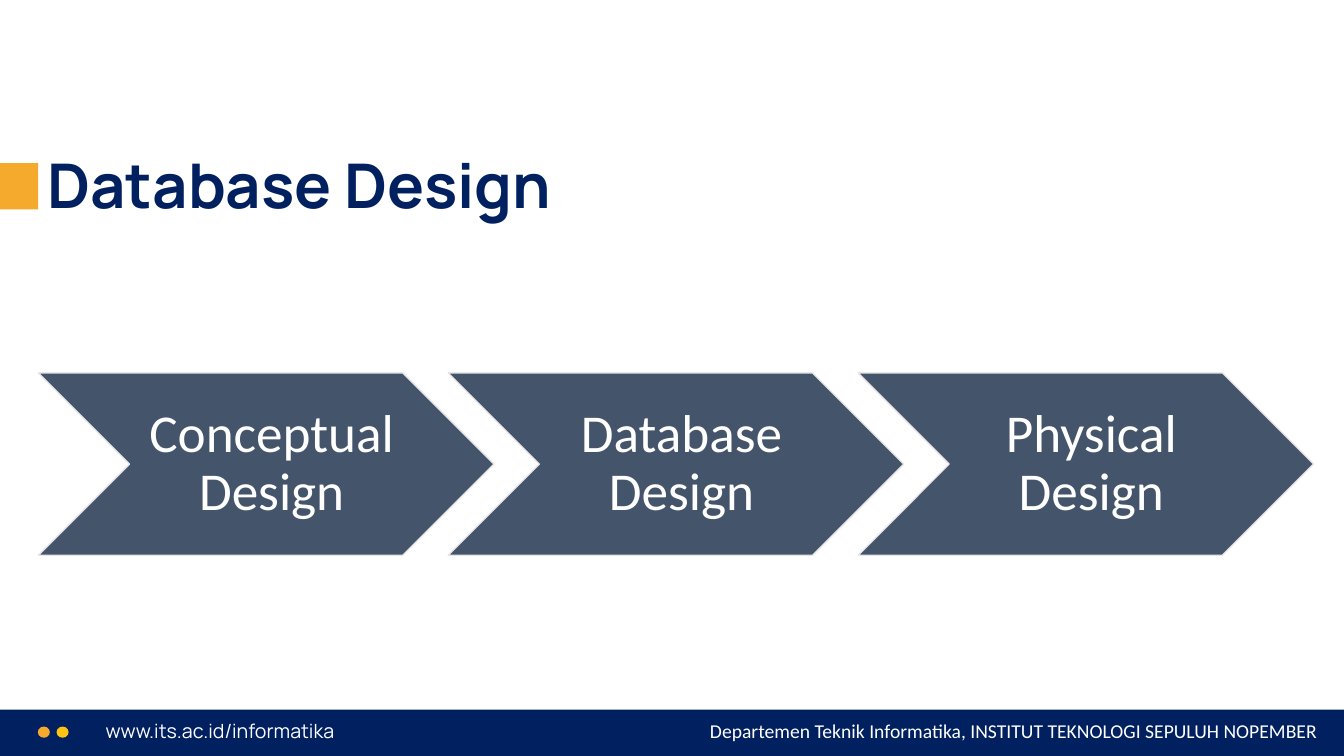
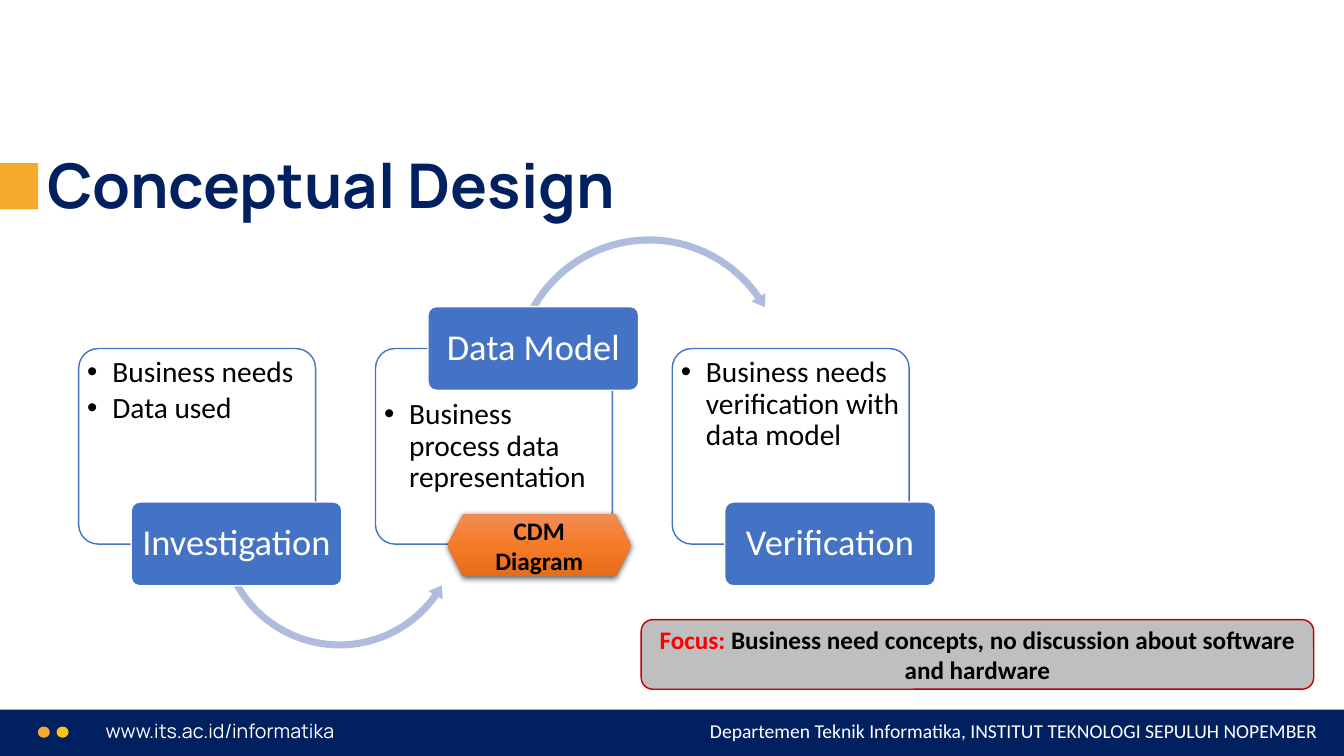
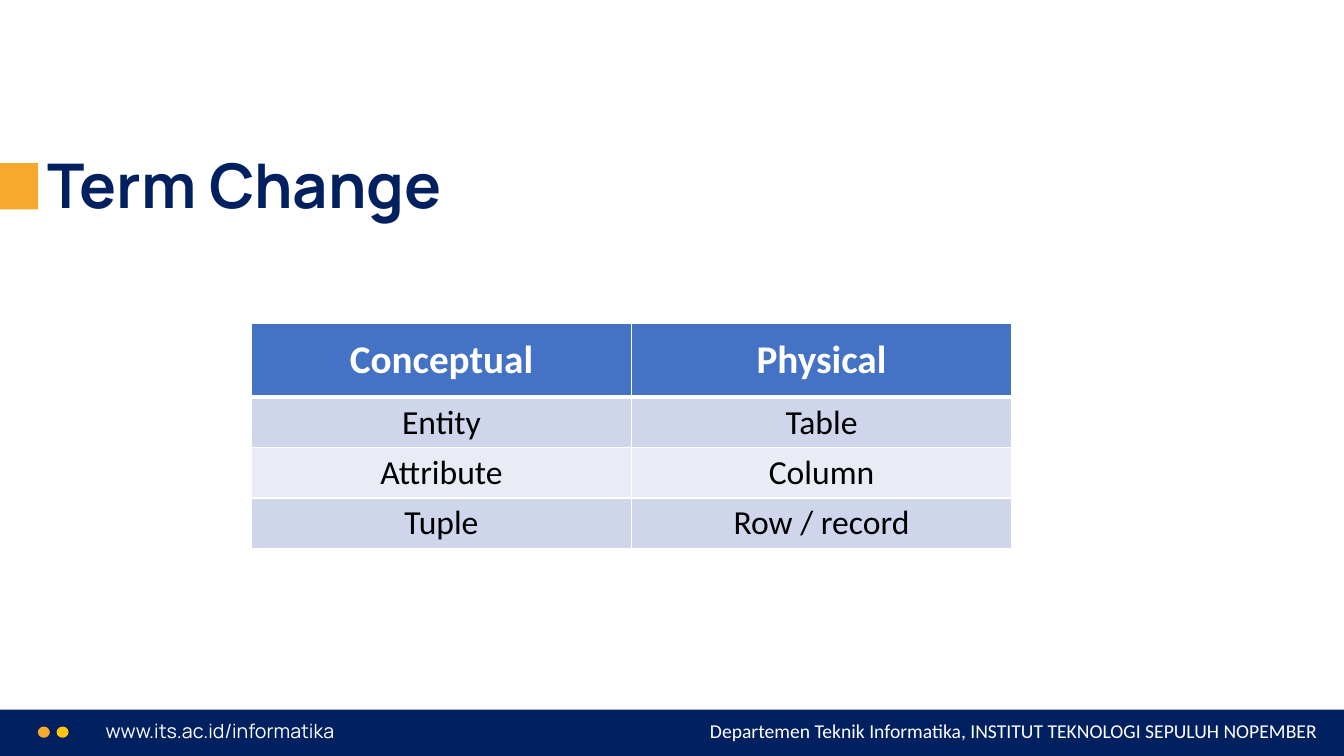
from pptx import Presentation
from pptx.dml.color import RGBColor
from pptx.enum.shapes import MSO_SHAPE as Preset
from pptx.enum.text import MSO_ANCHOR as Anchor, MSO_AUTO_SIZE as AutoSize, PP_ALIGN as Align
from pptx.oxml import parse_xml
from pptx.oxml.ns import nsdecls
from pptx.util import Pt

# Shared style
NAVY, AMBER, YELLOW, WHITE, BLACK = "002060", "F5AA2D", "FFC411", "FFFFFF", "000000"
BLUE, SLATE, PALE_BLUE = "4472C4", "44546A", "B0BCDE"
BODY_FONT, TITLE_FONT = "Calibri", "Manrope"

# Content
SITE = "www.its.ac.id/informatika"
DEPARTMENT = "Departemen Teknik Informatika, INSTITUT TEKNOLOGI SEPULUH NOPEMBER"
PHASES = ["Conceptual Design", "Database Design", "Physical Design"]
STEPS = [
    {"label": "Investigation", "points": ["Business needs", "Data used"], "label_on_top": False},
    {"label": "Data Model", "points": ["Business process data representation"], "label_on_top": True},
    {"label": "Verification", "points": ["Business needs verification with data model"],
     "label_on_top": False},
]
# Preset, left, top, size, adjustments
STEP_ARROWS = [
    (Preset.LEFT_CIRCULAR_ARROW, 152.6, 286.6, 180, (0.028, 3.439, 21.194, 90.245, 0.033)),
    (Preset.CIRCULAR_ARROW, 362.9, 165.6, 201.6, (0.025, 3.05, 195.195, 125.755, 0.029)),
]
DIAGRAM = "CDM Diagram"
DIAGRAM_STOPS = [(0, "F18C57"), (50, "F67B28"), (100, "E56C19")]
FOCUS = [("Focus: ", "FF0000"),
         ("Business need concepts, no discussion about software and hardware", BLACK)]
TERMS = [("Conceptual", "Physical"), ("Entity", "Table"), ("Attribute", "Column"),
         ("Tuple", "Row / record")]


def rgb(color):
    return RGBColor.from_string(color)


def add_span(para, text, size, color, font=BODY_FONT, bold=False):
    span = para.add_run()
    span.text = text
    span.font.size, span.font.name, span.font.bold = Pt(size), font, bold
    span.font.color.rgb = rgb(color)


def set_insets(frame, left, top, right, bottom):
    frame.margin_left, frame.margin_top = Pt(left), Pt(top)
    frame.margin_right, frame.margin_bottom = Pt(right), Pt(bottom)


def add_preset(page, preset, left, top, width, height, fill, line=None, adjust=()):
    shape = page.shapes.add_shape(preset, Pt(left), Pt(top), Pt(width), Pt(height))
    shape.shadow.inherit = False
    shape.fill.solid()
    shape.fill.fore_color.rgb = rgb(fill)
    if line:
        shape.line.color.rgb = rgb(line)
        shape.line.width = Pt(1)
    else:
        shape.line.fill.background()
    for index, value in enumerate(adjust):
        shape.adjustments[index] = value
    shape.text_frame.word_wrap = True
    return shape


def write_centred(shape, spans, size, bold=False, spacing=1):
    para = shape.text_frame.paragraphs[0]
    para.alignment, para.line_spacing = Align.CENTER, spacing
    for text, color in spans:
        add_span(para, text, size, color, bold=bold)


def add_footer_text(page, left, width, text, font, align):
    box = page.shapes.add_textbox(Pt(left), Pt(509.8), Pt(width), Pt(24.5))
    box.text_frame.word_wrap = True
    para = box.text_frame.paragraphs[0]
    para.alignment = align
    add_span(para, text, 14, WHITE, font)


def add_page(deck, title):
    page = deck.slides.add_slide(deck.slide_layouts[5])
    # Footer band
    add_preset(page, Preset.RECTANGLE, 0, 506.9, 960, 33.1, NAVY)
    add_footer_text(page, 68.4, 308, SITE, TITLE_FONT, Align.LEFT)
    add_footer_text(page, 425.5, 522.7, DEPARTMENT, BODY_FONT, Align.RIGHT)
    for left, color in ((27, AMBER), (40.4, YELLOW)):
        add_preset(page, Preset.OVAL, left, 519, 8.6, 8, color)
    # Title with its marker
    add_preset(page, Preset.RECTANGLE, 0, 116.6, 27.2, 33, AMBER)
    heading = page.shapes.title
    heading.left, heading.top, heading.width, heading.height = Pt(26.6), Pt(99.4), Pt(911.5), Pt(62.6)
    frame = heading.text_frame
    frame.auto_size, frame.word_wrap, frame.vertical_anchor = AutoSize.NONE, True, Anchor.BOTTOM
    para = frame.paragraphs[0]
    para.alignment, para.line_spacing = Align.LEFT, 0.9
    add_span(para, title, 44, NAVY, TITLE_FONT, True)
    return page


def build_phases(deck):
    page = add_page(deck, "Database Design")
    for index, phase in enumerate(PHASES):
        chevron = add_preset(page, Preset.CHEVRON, 27.4 + index * 292.75, 266.4, 325.4, 130.2,
                             SLATE, "E7E6E6")
        set_insets(chevron.text_frame, 12, 4, 4, 4)
        write_centred(chevron, [(phase, WHITE)], 38, spacing=0.9)


def add_bullets(frame, points):
    for index, point in enumerate(points):
        para = frame.paragraphs[0] if index == 0 else frame.add_paragraph()
        props = para._p.get_or_add_pPr()
        props.set("marL", str(Pt(18)))
        props.set("indent", str(-Pt(18)))
        props.append(parse_xml(f'<a:buFont {nsdecls("a")} typeface="Arial"/>'))
        props.append(parse_xml(f'<a:buChar {nsdecls("a")} char="•"/>'))
        para.alignment, para.line_spacing, para.space_after = Align.LEFT, 0.9, Pt(3)
        add_span(para, point, 21, BLACK)


def style_diagram(shape):
    """Three-stop vertical gradient and a soft drop shadow."""
    props = shape._element.spPr
    stops = "".join(f'<a:gs pos="{pos * 1000}"><a:srgbClr val="{color}"/></a:gs>'
                    for pos, color in DIAGRAM_STOPS)
    gradient = parse_xml(f'<a:gradFill {nsdecls("a")} rotWithShape="1"><a:gsLst>{stops}</a:gsLst>'
                         '<a:lin ang="5400000" scaled="0"/></a:gradFill>')
    solid = props.find("{*}solidFill")
    props.replace(solid, gradient)
    shadow = parse_xml(f'<a:outerShdw {nsdecls("a")} blurRad="{Pt(4.5)}" dist="{Pt(1.5)}" '
                       'dir="5400000" algn="ctr" rotWithShape="0"><a:srgbClr val="000000">'
                       '<a:alpha val="63000"/></a:srgbClr></a:outerShdw>')
    props.find("{*}effectLst").append(shadow)


def build_steps(deck):
    page = add_page(deck, "Conceptual Design")
    for index, step in enumerate(STEPS):
        left, on_top = 56.2 + index * 212, step["label_on_top"]
        # Card
        card = add_preset(page, Preset.ROUNDED_RECTANGLE, left, 249, 169.2, 139.7, WHITE, BLUE, (0.1,))
        color = card._element.spPr.find("{*}solidFill")[0]
        color.append(parse_xml(f'<a:alpha {nsdecls("a")} val="90000"/>'))
        card.text_frame.vertical_anchor = Anchor.TOP
        set_insets(card.text_frame, 2, 32 if on_top else 2, 2, 2)
        add_bullets(card.text_frame, step["points"])
        # Arrow to the next step
        if index < len(STEP_ARROWS):
            preset, x, y, size, adjust = STEP_ARROWS[index]
            add_preset(page, preset, x, y, size, size, PALE_BLUE, adjust=adjust)
        # Label
        label = add_preset(page, Preset.ROUNDED_RECTANGLE, left + 37.5, 219 if on_top else 358.6,
                           150.5, 59.8, BLUE, WHITE, (0.1,))
        set_insets(label.text_frame, 3.5, 2.5, 3.5, 2.5)
        write_centred(label, [(step["label"], WHITE)], 26, spacing=0.9)

    diagram = add_preset(page, Preset.HEXAGON, 319.7, 367.2, 131, 44.6, DIAGRAM_STOPS[0][1])
    style_diagram(diagram)
    write_centred(diagram, [(DIAGRAM, BLACK)], 18, bold=True)
    focus = add_preset(page, Preset.ROUNDED_RECTANGLE, 458, 442.6, 480.4, 49.7, "BFBFBF", "C00000")
    write_centred(focus, FOCUS, 18, bold=True)


def set_borders(cell, bottom):
    props = cell._tc.get_or_add_tcPr()
    for side, width in (("L", 1), ("R", 1), ("T", 1), ("B", bottom)):
        props.append(parse_xml(f'<a:ln{side} {nsdecls("a")} w="{Pt(width)}"><a:solidFill>'
                               f'<a:srgbClr val="{WHITE}"/></a:solidFill></a:ln{side}>'))


def build_terms(deck):
    page = add_page(deck, "Term Change")
    table = page.shapes.add_table(len(TERMS), 2, Pt(179.6), Pt(231.1), Pt(543), Pt(160.6)).table
    for row, terms in enumerate(TERMS):
        header = row == 0
        table.rows[row].height = Pt(52.6 if header else 36)
        fill = BLUE if header else ("CFD5EA" if row % 2 else "E9EBF5")
        for column, term in enumerate(terms):
            cell = table.cell(row, column)
            # The header's rule is shared with the row below it
            set_borders(cell, 3 if header else 1)
            if row == 1:
                cell._tc.tcPr.find("{*}lnT").set("w", str(Pt(3)))
            cell.fill.solid()
            cell.fill.fore_color.rgb = rgb(fill)
            cell.vertical_anchor = Anchor.MIDDLE if header else Anchor.TOP
            para = cell.text_frame.paragraphs[0]
            para.alignment = Align.CENTER
            add_span(para, term, 28 if header else 24, WHITE if header else BLACK, bold=header)


def main():
    deck = Presentation()
    deck.slide_width, deck.slide_height = Pt(960), Pt(540)
    build_phases(deck)
    build_steps(deck)
    build_terms(deck)
    deck.save("out.pptx")


if __name__ == "__main__":
    main()
